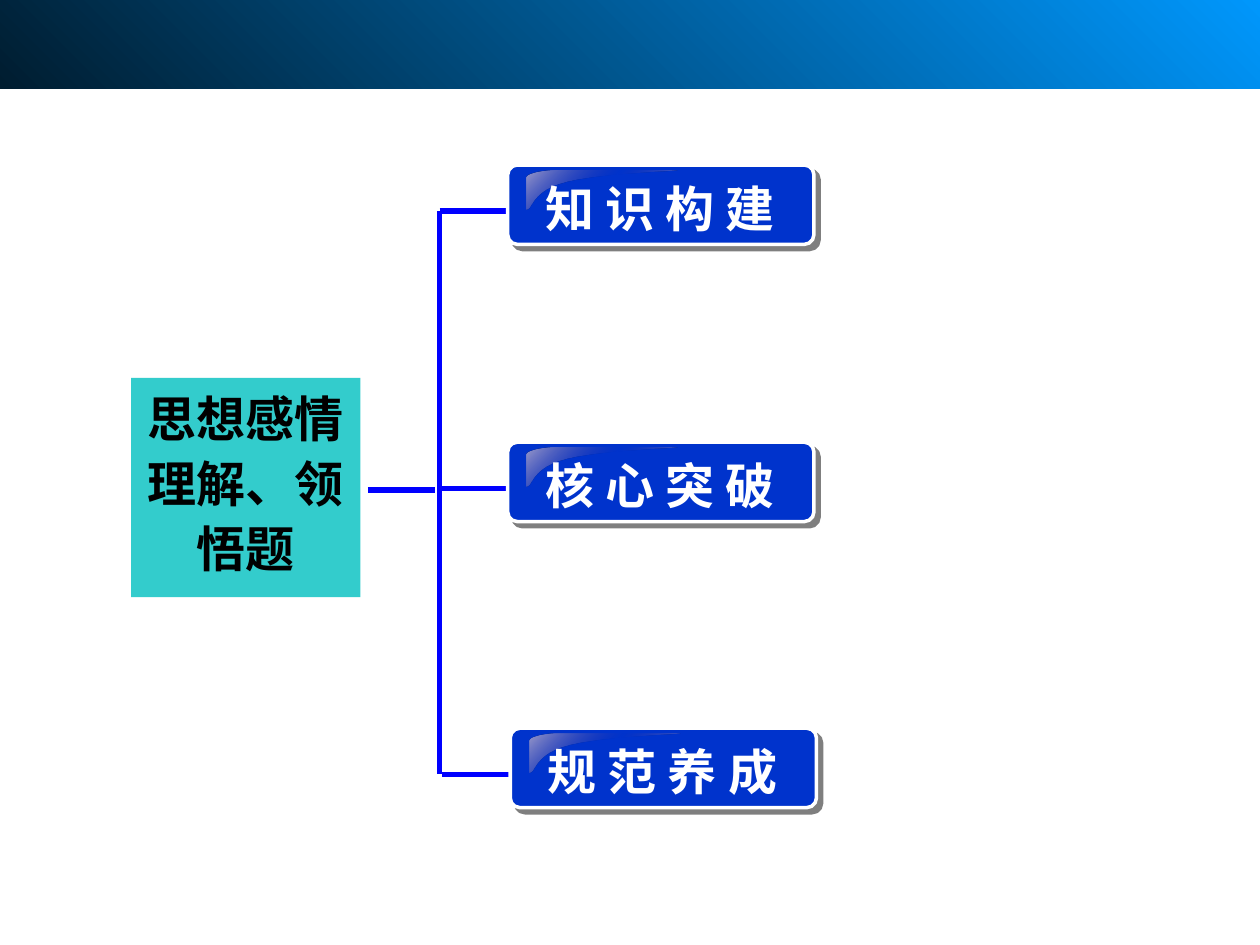
from dataclasses import dataclass

import pptx
import pptx.dml.color
import pptx.enum.shapes
import pptx.enum.text
import pptx.oxml
import pptx.oxml.ns
import pptx.util

RGBColor = pptx.dml.color.RGBColor
Alignment = pptx.enum.text.PP_ALIGN
Anchor = pptx.enum.text.MSO_ANCHOR
Preset = pptx.enum.shapes.MSO_SHAPE

WHITE = RGBColor(0xFF, 0xFF, 0xFF)
BLACK = RGBColor(0x00, 0x00, 0x00)
LINE_BLUE = RGBColor(0x00, 0x00, 0xFF)
BUTTON_BLUE = RGBColor(0x00, 0x33, 0xCC)
TURQUOISE = RGBColor(0x33, 0xCC, 0xCC)
SKY = RGBColor(0x00, 0x99, 0xFF)
NIGHT = RGBColor(0x00, 0x1D, 0x30)
GLOSS_LIGHT = RGBColor(0x9B, 0x9B, 0xCC)
GLOSS_CLEAR = RGBColor(0x33, 0x33, 0x99)

FONT = "Times New Roman"
NAMESPACE = pptx.oxml.ns.nsdecls("a")

# The slide is a grid of 100 columns by 75 rows
COLUMNS, ROWS = 100, 75
SLIDE_WIDTH, SLIDE_HEIGHT = pptx.util.Inches(10), pptx.util.Inches(7.5)
TRUNK_COLUMN = 34.9
BUTTON_WIDTH, BUTTON_HEIGHT = 24.3, 6.3
BRANCH_DROP = 3.65  # rows from a button's top down to its branch line


@dataclass(frozen=True)
class Button:
    text: str
    column: float
    row: float


@dataclass(frozen=True)
class Stop:
    position: int
    color: RGBColor
    opacity: int = 100


BUTTONS = [
    Button("知 识 构 建", 40.3, 13.1),
    Button("核 心 突 破", 40.3, 35.1),
    Button("规 范 养 成", 40.5, 57.8),
]

# Gloss outline, in columns and rows from a button's corner
GLOSS_START = (3.9, 0.4)
GLOSS_CURVES = [
    [(3.9, 0.4), (2.6, 0.4), (1.5, 0.7), (1.5, 1.0)],
    [(1.5, 3.5), (2.1, 3.5), (1.8, 2.0), (4.8, 1.3)],
    [(4.8, 1.3), (7.8, 0.6), (13.6, 0.5), (13.5, 0.4)],
]


def across(columns: float) -> int:
    return round(SLIDE_WIDTH * columns / COLUMNS)


def down(rows: float) -> int:
    return round(SLIDE_HEIGHT * rows / ROWS)


def set_gradient(shape, stops: list[Stop], angle: int) -> None:
    """Fill with a linear gradient; the angle runs clockwise."""
    shape.fill.background()
    stop_xml = "".join(
        f'<a:gs pos="{stop.position * 1000}"><a:srgbClr val="{stop.color}">'
        f'<a:alpha val="{stop.opacity * 1000}"/></a:srgbClr></a:gs>'
        for stop in stops
    )
    properties = shape._element.spPr
    no_fill = properties.find(pptx.oxml.ns.qn("a:noFill"))
    properties.replace(no_fill, pptx.oxml.parse_xml(
        f'<a:gradFill {NAMESPACE} rotWithShape="1"><a:gsLst>{stop_xml}</a:gsLst>'
        f'<a:lin ang="{angle * 60000}" scaled="0"/></a:gradFill>'
    ))


def add_box(slide, preset, column: float, row: float, width: float, height: float):
    shape = slide.shapes.add_shape(
        preset, across(column), down(row), across(width), down(height))
    shape.shadow.inherit = False
    shape.line.fill.background()
    return shape


def add_line(slide, start: tuple[float, float], end: tuple[float, float]) -> None:
    line = slide.shapes.add_connector(
        pptx.enum.shapes.MSO_CONNECTOR.STRAIGHT,
        across(start[0]), down(start[1]), across(end[0]), down(end[1]))
    line.line.color.rgb = LINE_BLUE
    line.line.width = pptx.util.Pt(3)
    line._element.spPr.append(pptx.oxml.parse_xml(f"<a:effectLst {NAMESPACE}/>"))


def write_text(shape, text: str, color: RGBColor, alignment, anchor):
    frame = shape.text_frame
    frame.word_wrap = True
    frame.vertical_anchor = anchor
    paragraph = frame.paragraphs[0]
    paragraph.alignment = alignment
    run = paragraph.add_run()
    run.text = text
    run.font.name = FONT
    run.font.size = pptx.util.Pt(28)
    run.font.bold = True
    run.font.color.rgb = color
    return paragraph


def curve_points(curve: list[tuple[float, float]], steps: int = 12):
    """Points along a cubic curve, both ends included."""
    for step in range(steps + 1):
        t = step / steps
        weights = ((1 - t) ** 3, 3 * t * (1 - t) ** 2, 3 * t * t * (1 - t), t ** 3)
        yield tuple(
            sum(weight * point[axis] for weight, point in zip(weights, curve))
            for axis in (0, 1))


def add_gloss(slide, button: Button) -> None:
    def place(point):
        return across(button.column + point[0]), down(button.row + point[1])

    builder = slide.shapes.build_freeform(*place(GLOSS_START))
    builder.add_line_segments(
        [place(point) for curve in GLOSS_CURVES for point in curve_points(curve)],
        close=True)
    gloss = builder.convert_to_shape()
    gloss.shadow.inherit = False
    gloss.line.fill.background()
    set_gradient(gloss, [Stop(0, GLOSS_LIGHT), Stop(50, GLOSS_CLEAR, 0),
                         Stop(100, GLOSS_LIGHT)], 225)


def add_button(slide, button: Button) -> None:
    # Branch line from the trunk
    branch_row = button.row + BRANCH_DROP
    add_line(slide, (button.column - 5.4, branch_row), (button.column - 0.1, branch_row))

    # Button with its drop shadow
    shape = add_box(slide, Preset.ROUNDED_RECTANGLE, button.column, button.row,
                    BUTTON_WIDTH, BUTTON_HEIGHT)
    shape.adjustments[0] = 0.12
    shape.fill.solid()
    shape.fill.fore_color.rgb = BUTTON_BLUE
    shape.line.color.rgb = WHITE
    shape.line.width = pptx.util.Pt(2)
    effects = shape._element.spPr.find(pptx.oxml.ns.qn("a:effectLst"))
    effects.append(pptx.oxml.parse_xml(
        f'<a:outerShdw {NAMESPACE} dist="{pptx.util.Pt(4.2)}" dir="2700000" '
        f'algn="ctr" rotWithShape="0"><a:srgbClr val="{BLACK}">'
        '<a:alpha val="50000"/></a:srgbClr></a:outerShdw>'))

    add_gloss(slide, button)

    # Label
    label = slide.shapes.add_textbox(
        across(button.column + 2), down(button.row + 0.55), across(41.1), down(5.7))
    write_text(label, button.text, WHITE, Alignment.LEFT, Anchor.MIDDLE)


def main() -> None:
    presentation = pptx.Presentation()
    presentation.slide_width, presentation.slide_height = SLIDE_WIDTH, SLIDE_HEIGHT
    slide = presentation.slides.add_slide(presentation.slide_layouts[6])

    # Top banner
    banner = add_box(slide, Preset.RECTANGLE, 0, -1.7, COLUMNS, 8.7)
    set_gradient(banner, [Stop(0, SKY), Stop(100, NIGHT)], 135)

    # Topic box
    topic = add_box(slide, Preset.RECTANGLE, 10.4, 30, 18.2, 17.4)
    topic.fill.solid()
    topic.fill.fore_color.rgb = TURQUOISE
    topic.text_frame.margin_top = pptx.util.Inches(0.04)
    topic.text_frame.margin_bottom = pptx.util.Inches(0.16)
    paragraph = write_text(topic, "思想感情理解、领悟题", BLACK,
                           Alignment.CENTER, Anchor.TOP)
    paragraph.line_spacing = 1.1

    # Stem and trunk of the bracket
    add_line(slide, (29.2, 38.9), (34.5, 38.9))
    add_line(slide, (TRUNK_COLUMN, BUTTONS[0].row + BRANCH_DROP),
             (TRUNK_COLUMN, BUTTONS[-1].row + BRANCH_DROP))

    for button in BUTTONS:
        add_button(slide, button)

    presentation.save("out.pptx")


if __name__ == "__main__":
    main()
